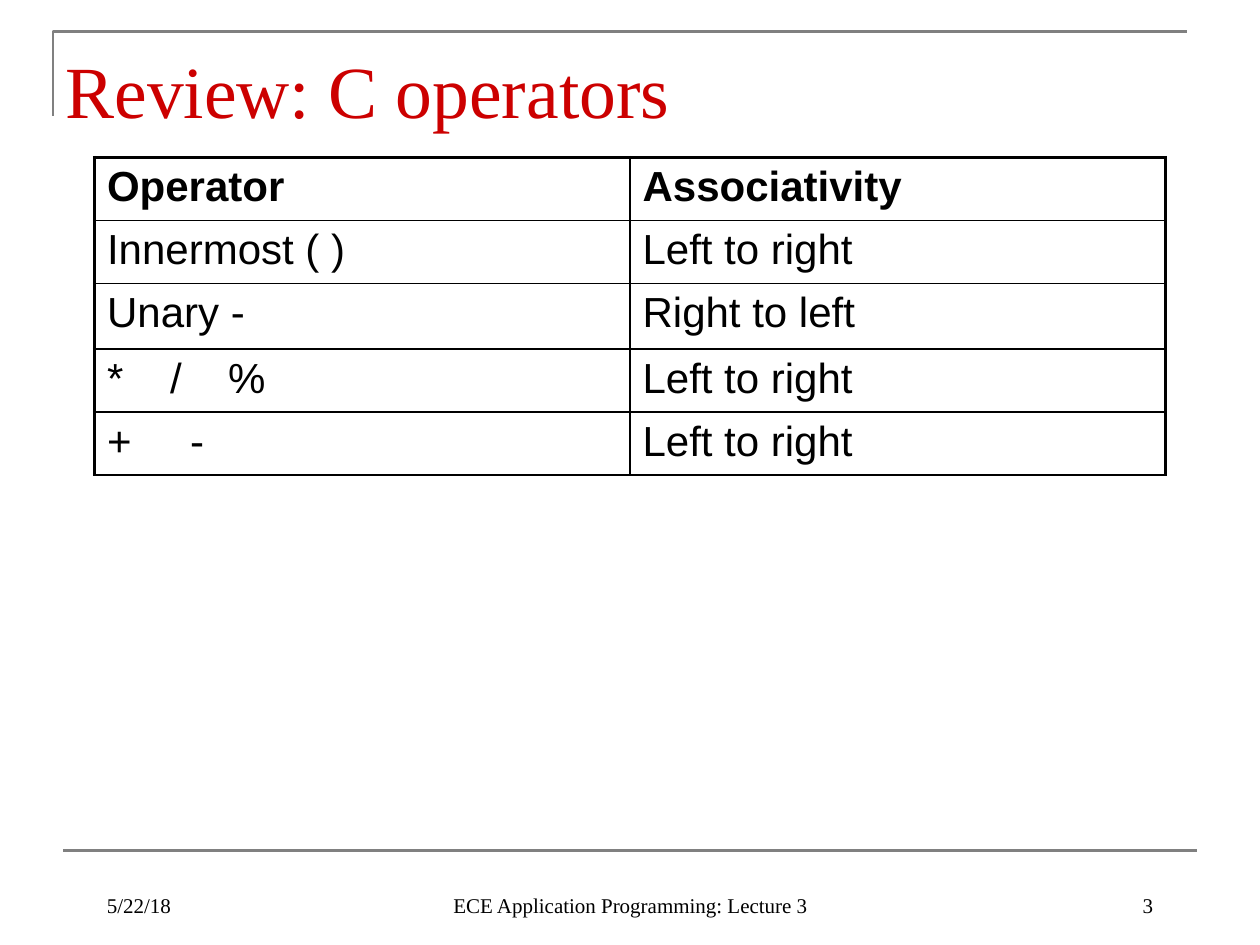
from dataclasses import dataclass

from lxml import etree
from pptx import Presentation
from pptx.dml.color import RGBColor
from pptx.enum.shapes import MSO_CONNECTOR
from pptx.enum.text import MSO_ANCHOR, PP_ALIGN
from pptx.oxml.ns import qn
from pptx.util import Inches, Pt

STRAIGHT = MSO_CONNECTOR.STRAIGHT
MIDDLE, BOTTOM = MSO_ANCHOR.MIDDLE, MSO_ANCHOR.BOTTOM
LEFT, CENTER, RIGHT = PP_ALIGN.LEFT, PP_ALIGN.CENTER, PP_ALIGN.RIGHT
TITLE_ONLY = 5


@dataclass(frozen=True)
class Theme:
    serif: str = "Times New Roman"
    sans: str = "Arial"
    red: str = "CC0000"
    gray: str = "808080"
    black: str = "000000"
    title_size: int = 42
    table_size: int = 24
    footer_size: int = 12
    rule_width: float = 1.5
    outer_border: float = 2.25
    inner_border: float = 1


class SlideBuilder:
    def __init__(self, deck, theme):
        self.theme = theme
        self.slide = deck.slides.add_slide(deck.slide_layouts[TITLE_ONLY])

    def add_text(self, paragraph, text, color, align=LEFT, **formats):
        paragraph.alignment = align
        span = paragraph.add_run()
        span.text = text
        for name, value in formats.items():
            setattr(span.font, name, value)
        span.font.color.rgb = RGBColor.from_string(color)

    def style_rule(self, line):
        line.color.rgb = RGBColor.from_string(self.theme.gray)
        line.width = Pt(self.theme.rule_width)

    def title(self, text, left, top, width, height):
        box = self.slide.shapes.title
        places = {"left": left, "top": top, "width": width, "height": height}
        for name, value in places.items():
            setattr(box, name, Inches(value))
        box.text_frame.vertical_anchor = MIDDLE
        self.add_text(box.text_frame.paragraphs[0], text, self.theme.red,
                      name=self.theme.serif, size=Pt(self.theme.title_size))

    def outline(self, points):
        start, *others = [(Inches(x), Inches(y)) for x, y in points]
        builder = self.slide.shapes.build_freeform(*start)
        builder.add_line_segments(others, close=False)
        bracket = builder.convert_to_shape()
        bracket.shadow.inherit = False
        bracket.fill.background()
        self.style_rule(bracket.line)

    def rule(self, *ends):
        connector = self.slide.shapes.add_connector(
            STRAIGHT, *(Inches(value) for value in ends))
        etree.SubElement(connector._element.spPr, qn("a:effectLst"))
        self.style_rule(connector.line)

    def footer(self, text, left, width, align):
        box = self.slide.shapes.add_textbox(
            Inches(left), Inches(6.83), Inches(width), Inches(0.5))
        frame = box.text_frame
        frame.word_wrap = True
        frame.vertical_anchor = BOTTOM
        self.add_text(frame.paragraphs[0], text, self.theme.black, align,
                      name=self.theme.serif, size=Pt(self.theme.footer_size))

    def border(self, cell, side, width):
        line = etree.SubElement(cell._tc.get_or_add_tcPr(), qn(f"a:ln{side}"),
                                w=str(Pt(width)))
        fill = etree.SubElement(line, qn("a:solidFill"))
        etree.SubElement(fill, qn("a:srgbClr"), val=self.theme.black)

    def tabs(self, paragraph, stops):
        tab_list = etree.SubElement(paragraph._p.get_or_add_pPr(),
                                    qn("a:tabLst"))
        for stop in stops:
            etree.SubElement(tab_list, qn("a:tab"),
                             pos=str(Inches(stop)), algn="l")

    def table(self, rows, heights, tab_stops, left, top, width):
        theme = self.theme
        columns = len(rows[0])
        frame = self.slide.shapes.add_table(
            len(rows), columns, Inches(left), Inches(top),
            Inches(width), Inches(sum(heights)))
        table = frame.table
        table.first_row = table.horz_banding = False
        for column in table.columns:
            column.width = Inches(width / columns)
        for row_index, texts in enumerate(rows):
            table.rows[row_index].height = Inches(heights[row_index])
            for column_index, text in enumerate(texts):
                cell = table.cell(row_index, column_index)
                outer_sides = {"L": column_index == 0,
                               "R": column_index == columns - 1,
                               "T": row_index == 0,
                               "B": False}
                for side, outer in outer_sides.items():
                    self.border(cell, side, theme.outer_border if outer
                                else theme.inner_border)
                cell.fill.background()
                paragraph = cell.text_frame.paragraphs[0]
                if text in tab_stops:
                    self.tabs(paragraph, tab_stops[text])
                self.add_text(paragraph, text, theme.black, name=theme.sans,
                              size=Pt(theme.table_size), bold=row_index == 0)


def main():
    deck = Presentation()
    deck.slide_width, deck.slide_height = Inches(10), Inches(7.5)
    page = SlideBuilder(deck, Theme())
    page.outline([(0.42, 0.92), (0.42, 0.25), (9.42, 0.25)])
    page.rule(0.5, 6.75, 9.5, 6.75)
    page.title("Review: C operators", 0.42, 0.25, 8.5, 0.92)

    multiplicative, additive = "*\t/\t%", "+\t-"
    operators = [
        ("Operator", "Associativity"),
        ("Innermost ( )", "Left to right"),
        ("Unary -", "Right to left"),
        (multiplicative, "Left to right"),
        (additive, "Left to right"),
    ]
    page.table(operators, [0.5, 0.5, 0.52, 0.5, 0.5],
               {multiplicative: [0.5, 0.96], additive: [0.66]},
               0.75, 1.25, 8.5)

    page.footer("5/22/18", 0.75, 2.08, LEFT)
    page.footer("ECE Application Programming: Lecture 3", 3.42, 3.17, CENTER)
    page.footer("3", 7.17, 2.08, RIGHT)
    deck.save("out.pptx")


if __name__ == "__main__":
    main()
